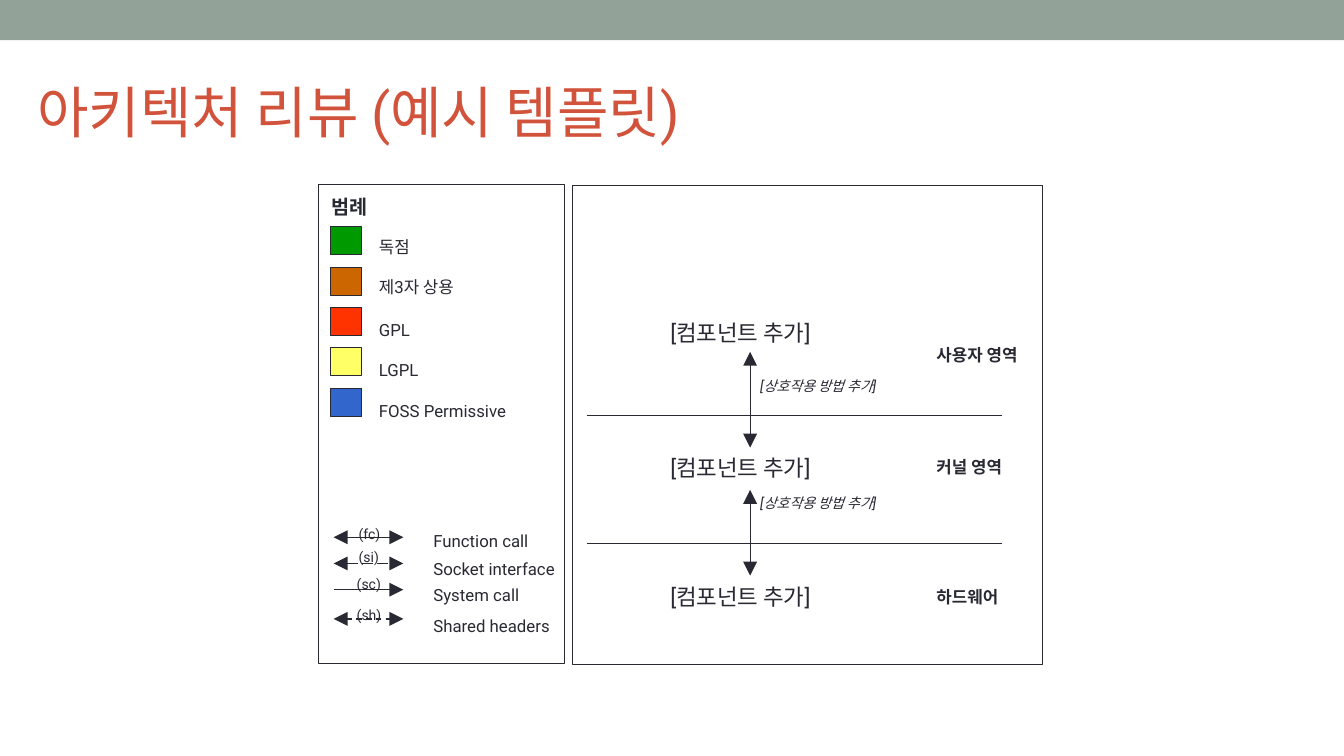
from lxml import etree
from pptx import Presentation
from pptx.dml.color import RGBColor
from pptx.enum.dml import MSO_LINE_DASH_STYLE as DASH
from pptx.enum.shapes import MSO_CONNECTOR, MSO_SHAPE
from pptx.enum.text import MSO_ANCHOR, MSO_AUTO_SIZE, PP_ALIGN
from pptx.oxml.ns import qn
from pptx.util import Inches, Pt

COLORS = {
    "ink": "292934",
    "title": "D2533C",
    "bar": "93A299",
    "proprietary": "009900",
    "third_party": "CC6600",
    "gpl": "FF3300",
    "lgpl": "FFFF66",
    "permissive": "3366CC",
}


class Board:
    """Holds the current slide and the style shared by its elements."""

    font = "Roboto"

    def __init__(self, slide):
        self.shapes = slide.shapes

    def color(self, name):
        return RGBColor.from_string(COLORS[name])

    def add_text(self, tf, text, size, color="ink", bold=False, italic=False):
        p = tf.paragraphs[0]
        p.alignment = PP_ALIGN.LEFT
        r = p.add_run()
        r.text = text
        r.font.name = self.font
        r.font.size = Pt(size)
        r.font.bold = bold
        r.font.italic = italic
        r.font.color.rgb = self.color(color)

    def title(self, text, x, y, w, h):
        sp = self.shapes.title
        sp.left, sp.top, sp.width, sp.height = map(Inches, (x, y, w, h))
        tf = sp.text_frame
        tf.auto_size = MSO_AUTO_SIZE.NONE
        tf.vertical_anchor = MSO_ANCHOR.MIDDLE
        self.add_text(tf, text, 40, "title")

    def label(self, text, x, y, w, h=0.3, size=12, **style):
        sp = self.shapes.add_textbox(*map(Inches, (x, y, w, h)))
        tf = sp.text_frame
        tf.word_wrap = True
        self.add_text(tf, text, size, **style)

    def box(self, x, y, w, h, fill=None, line=None):
        sp = self.shapes.add_shape(MSO_SHAPE.RECTANGLE, *map(Inches, (x, y, w, h)))
        sp.shadow.inherit = False
        if fill:
            sp.fill.solid()
            sp.fill.fore_color.rgb = self.color(fill)
        else:
            sp.fill.background()
        if line:
            sp.line.color.rgb = self.color("ink")
            sp.line.width = Pt(line)
        else:
            sp.line.fill.background()

    def line(self, x1, y1, x2, y2, width=1, dash=None, ends=()):
        """Draw a line; ends lists the arrowheads, "headEnd" being at the start."""
        c = self.shapes.add_connector(
            MSO_CONNECTOR.STRAIGHT, *map(Inches, (x1, y1, x2, y2)))
        c.line.color.rgb = self.color("ink")
        c.line.width = Pt(width)
        if dash:
            c.line.dash_style = dash
        sp_pr = c._element.spPr
        ln = sp_pr.find(qn("a:ln"))
        for end in ends:
            etree.SubElement(ln, qn(f"a:{end}"), type="triangle", w="lg", len="lg")
        etree.SubElement(sp_pr, qn("a:effectLst"))


BOTH = ("headEnd", "tailEnd")
LICENSES = [  # fill, name, label top, label width
    ("proprietary", "독점", 2.3, 1.02),
    ("third_party", "제3자 상용", 2.7, 1.77),
    ("gpl", "GPL", 3.12, 0.8),
    ("lgpl", "LGPL", 3.52, 0.8),
    ("permissive", "FOSS Permissive", 3.93, 1.6),
]
CALLS = [  # code, code left, code top, name, name top, line y, dash, ends
    ("(fc)", 3.46, 5.16, "Function call", 5.22, 5.33, None, BOTH),
    ("(si)", 3.46, 5.39, "Socket interface", 5.49, 5.59, DASH.LONG_DASH, BOTH),
    ("(sc)", 3.44, 5.66, "System call", 5.75, 5.85, None, ("tailEnd",)),
    ("(sh)", 3.44, 5.97, "Shared headers", 6.06, 6.14, DASH.DASH, BOTH),
]
LAYERS = [  # name, name top, component top
    ("사용자 영역", 3.37, 3.12),
    ("커널 영역", 4.48, 4.46),
    ("하드웨어", 5.77, 5.74),
]
INTERACTIONS = [  # arrow top, arrow bottom, label top, divider y
    (3.49, 4.44, 3.7, 4.12),
    (4.86, 5.71, 4.86, 5.39),
]


def draw_legend(board):
    board.box(3.16, 1.83, 2.44, 4.75, line=1)
    board.label("범례", 3.19, 1.88, 0.86, 0.34, size=14, bold=True)
    for i, (fill, name, top, width) in enumerate(LICENSES):
        board.box(3.28, 2.25 + 0.4 * i, 0.31, 0.28, fill, line=0.75)
        board.label(name, 3.66, top, width)
    for code, left, code_top, name, name_top, y, dash, ends in CALLS:
        board.line(3.31, y, 4, y, dash=dash, ends=ends)
        board.label(code, left, code_top, 0.5, 0.27, size=10)
        board.label(name, 4.2, name_top, 1.5)


def draw_architecture(board):
    board.box(5.68, 1.84, 4.66, 4.75, line=1)
    for name, name_top, component_top in LAYERS:
        board.label(name, 9.19, name_top, 1.2, bold=True)
        board.label("[컴포넌트 추가]", 6.55, component_top, 2.23, 0.37, size=16)
    for top, bottom, label_top, divider in INTERACTIONS:
        board.line(5.82, divider, 9.94, divider)
        board.line(7.44, top, 7.44, bottom, width=0.75, ends=BOTH)
        board.label("[상호작용 방법 추가]", 7.44, label_top, 1.81, 0.27,
                    size=10, italic=True)


def main():
    prs = Presentation()
    prs.slide_width, prs.slide_height = Inches(13.33), Inches(7.5)
    board = Board(prs.slides.add_slide(prs.slide_layouts[5]))
    board.box(0, 0, 13.33, 0.4, "bar")
    board.title("아키텍처 리뷰 (예시 템플릿)", 0.27, 0.56, 12, 1.08)
    draw_legend(board)
    draw_architecture(board)
    prs.save("out.pptx")


if __name__ == "__main__":
    main()
